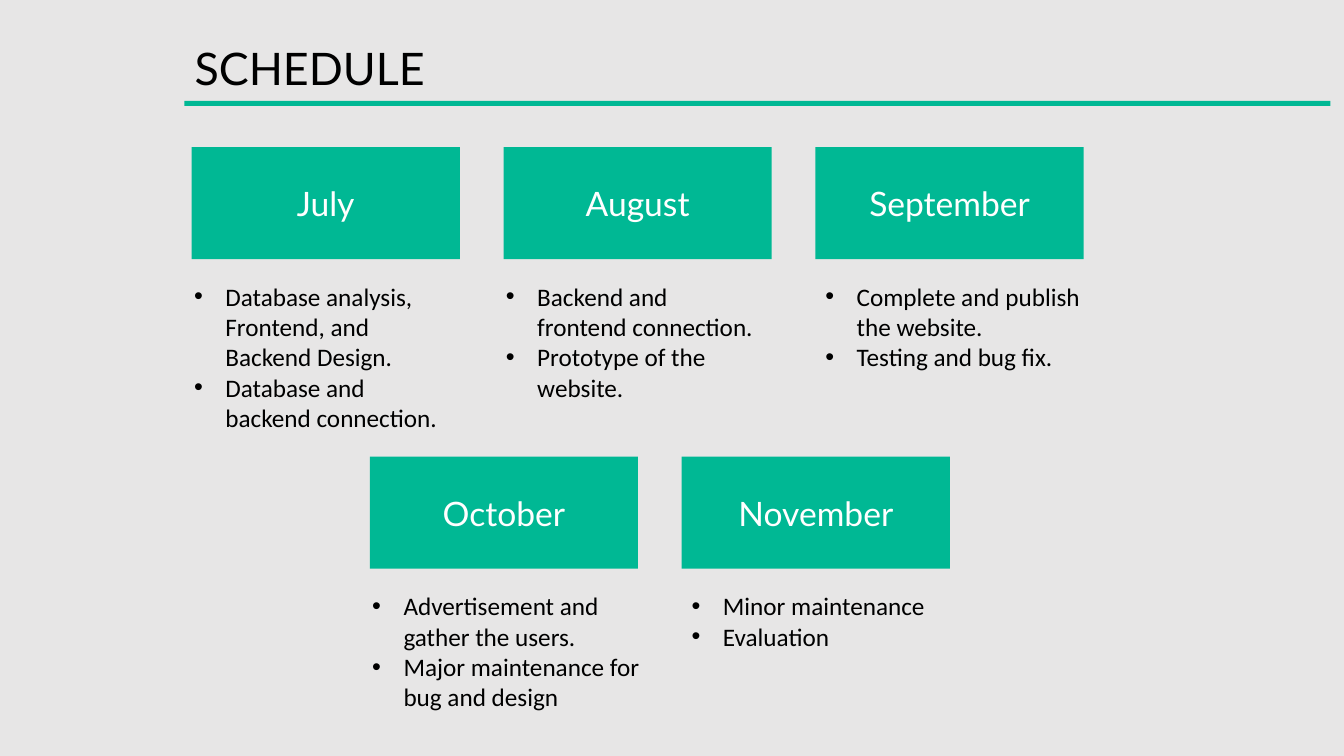
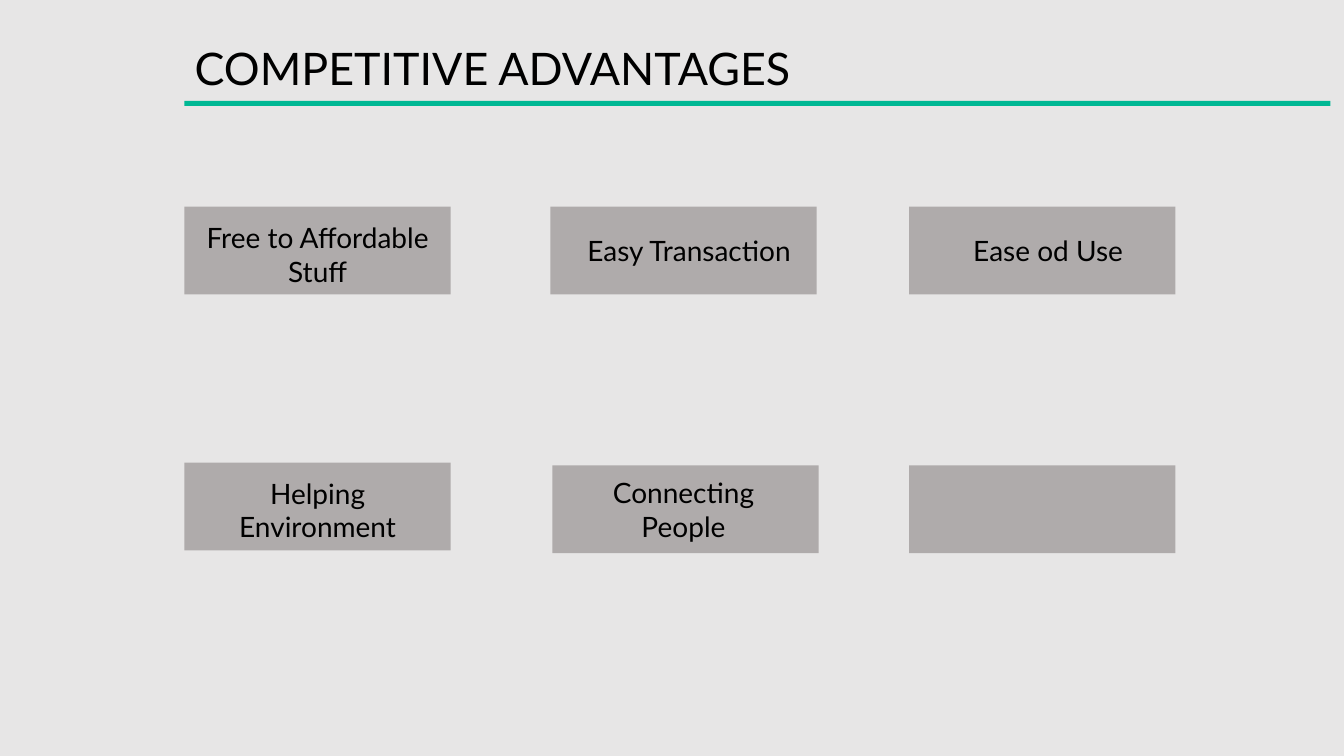
import pptx
import pptx.util
import pptx.dml.color
import pptx.enum.shapes
import pptx.enum.text
import pptx.oxml.ns
from lxml import etree

Cm, Pt = pptx.util.Cm, pptx.util.Pt
RGB = pptx.dml.color.RGBColor
ALIGN = pptx.enum.text.PP_ALIGN
ANCHOR = pptx.enum.text.MSO_ANCHOR

# Shared style
GREEN = RGB(0x00, 0xB8, 0x94)
GREY = RGB(0xAF, 0xAB, 0xAB)
PAPER = RGB(0xE7, 0xE6, 0xE6)
BLACK = RGB(0x00, 0x00, 0x00)
WHITE = RGB(0xFF, 0xFF, 0xFF)
HEAD_FONT, BODY_FONT = "Lato", "Calibri"
LEFT = 4.65
INSET = 0.25

# Schedule: rows of (month, tasks, notes offset, notes width), lengths in cm
MONTH_W, MONTH_H, MONTH_PITCH = 6.76, 2.82, 7.86
NOTES_DROP, BULLET_INDENT = 3.25, 0.79
SCHEDULE = [
    (4.83, 3.71, [
        ("July", ["Database analysis, Frontend, and Backend Design.",
                  "Database and backend connection."], -0.19, 6.96),
        ("August", ["Backend and frontend connection.",
                    "Prototype of the website."], -0.19, 6.96),
        ("September", ["Complete and publish the website.",
                       "Testing and bug fix."], 0, 7.75),
    ]),
    (9.32, 11.51, [
        ("October", ["Advertisement and gather the users.",
                     "Major maintenance for bug and design"], -0.19, 7.75),
        ("November", ["Minor maintenance", "Evaluation"], 0, 7.75),
    ]),
]

# Advantages: left, top, lines, shift of the label right and down, in cm
CARD_W, CARD_H = 6.71, 2.21
ADVANTAGES = [
    (LEFT, 5.21, ["Free to Affordable", "Stuff"], 0, 0.1),
    (13.87, 5.21, ["Easy Transaction"], 0.14, 0),
    (22.91, 5.21, ["Ease od Use"], 0.15, 0),
    (LEFT, 11.66, ["Helping", "Environment"], 0, 0.08),
    (13.92, 11.73, ["Connecting", "People"], -0.05, 0),
    (22.91, 11.73, [], 0, 0),
]


def write(tf, lines, size, font, color, align):
    """Fill a text frame, one paragraph per line."""
    for i, line in enumerate(lines):
        p = tf.paragraphs[0] if i == 0 else tf.add_paragraph()
        p.alignment = align
        r = p.add_run()
        r.text = line
        r.font.size, r.font.name = Pt(size), font
        r.font.color.rgb = color


def add_box(s, left, top, width, height, fill):
    sp = s.shapes.add_shape(pptx.enum.shapes.MSO_SHAPE.RECTANGLE,
                            Cm(left), Cm(top), Cm(width), Cm(height))
    sp.shadow.inherit = False
    sp.fill.solid()
    sp.fill.fore_color.rgb = fill
    sp.line.fill.background()
    sp.text_frame.vertical_anchor = ANCHOR.MIDDLE
    return sp


def add_bullets(s, left, top, width, items):
    height = 1.8 + 0.76 * len(items)
    tf = s.shapes.add_textbox(Cm(left), Cm(top), Cm(width), Cm(height)).text_frame
    tf.word_wrap = True
    write(tf, items, 18, BODY_FONT, BLACK, ALIGN.LEFT)
    for p in tf.paragraphs:
        pPr = p._p.get_or_add_pPr()
        pPr.set("marL", str(Cm(BULLET_INDENT)))
        pPr.set("indent", str(-Cm(BULLET_INDENT)))
        for tag, key, value in (("a:buFont", "typeface", "Arial"),
                                ("a:buChar", "char", "•")):
            etree.SubElement(pPr, pptx.oxml.ns.qn(tag)).set(key, value)


def new_slide(prs, title):
    """Title-only slide with the green rule below its title."""
    s = prs.slides.add_slide(prs.slide_layouts[5])
    sp = s.shapes.title
    sp.left, sp.top, sp.width, sp.height = Cm(LEFT), Cm(0.91), Cm(25), Cm(1.63)
    tf = sp.text_frame
    tf.vertical_anchor = ANCHOR.TOP
    tf.auto_size = pptx.enum.text.MSO_AUTO_SIZE.NONE
    write(tf, [title], 32, HEAD_FONT, BLACK, ALIGN.LEFT)
    add_box(s, LEFT, 2.54, 28.88, 0.13, GREEN)
    return s


def build_schedule(prs):
    s = new_slide(prs, "SCHEDULE")
    for row_left, top, months in SCHEDULE:
        for col, (month, tasks, offset, width) in enumerate(months):
            left = row_left + col * MONTH_PITCH
            sp = add_box(s, left, top, MONTH_W, MONTH_H, GREEN)
            write(sp.text_frame, [month], 24, HEAD_FONT, WHITE, ALIGN.CENTER)
            add_bullets(s, left + offset, top + NOTES_DROP, width, tasks)


def build_advantages(prs):
    s = new_slide(prs, "COMPETITIVE ADVANTAGES")
    for left, top, lines, right, down in ADVANTAGES:
        tf = add_box(s, left, top, CARD_W, CARD_H, GREY).text_frame
        # Opposite insets move the centred label
        tf.margin_left, tf.margin_right = Cm(INSET + right), Cm(INSET - right)
        tf.margin_top, tf.margin_bottom = Cm(0.13 + down), Cm(0.13 - down)
        write(tf, lines, 20, HEAD_FONT, BLACK, ALIGN.CENTER)


def main():
    prs = pptx.Presentation()
    prs.slide_width, prs.slide_height = Cm(33.87), Cm(19.05)
    fill = prs.slide_master.background.fill
    fill.solid()
    fill.fore_color.rgb = PAPER
    build_schedule(prs)
    build_advantages(prs)
    prs.save("out.pptx")


if __name__ == "__main__":
    main()
